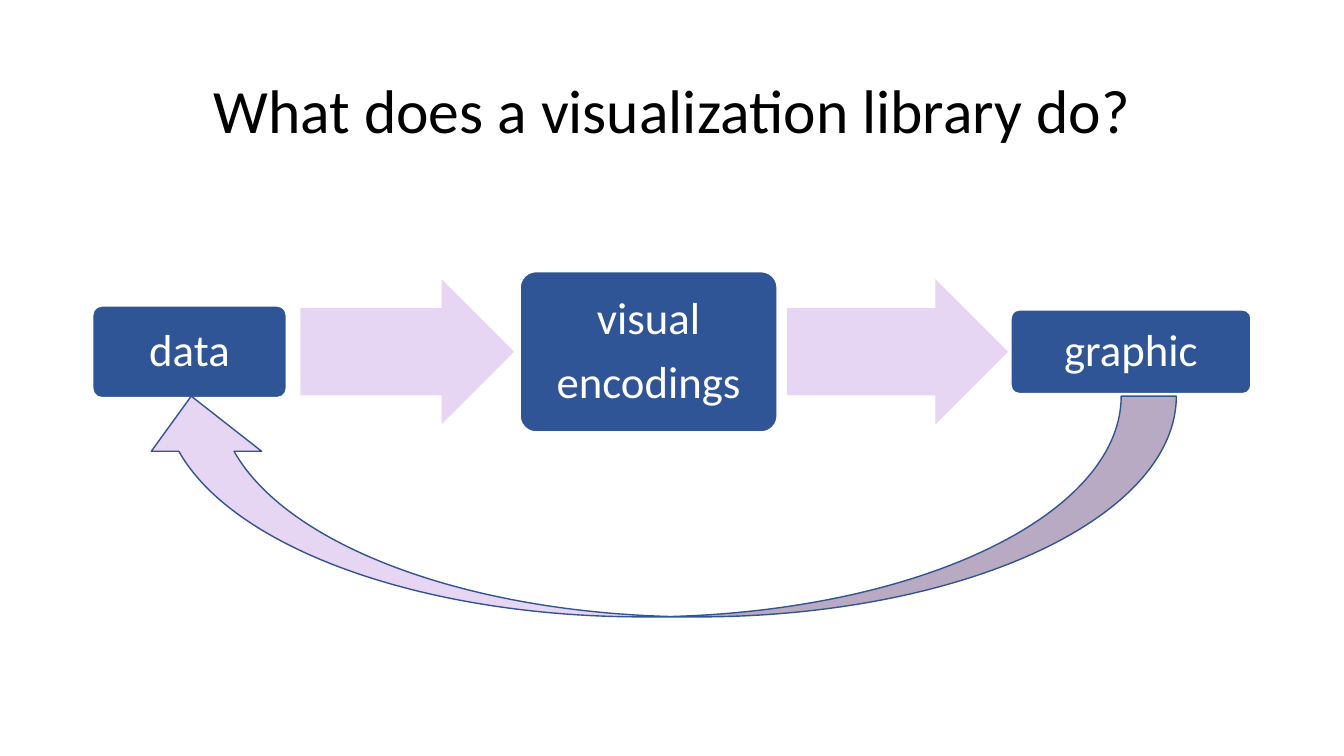
"""Build the slide showing the loop from data through encodings to graphic."""
import pptx
import pptx.dml.color
import pptx.enum.shapes
import pptx.enum.text
import pptx.util

COLORS = {"box": "2F5597", "arrow": "E6D5F3", "edge": "325491",
          "white": "FFFFFF", "black": "000000"}
SHAPES = pptx.enum.shapes.MSO_SHAPE
MIDDLE_Y = 3.49


def rgb(name):
    return pptx.dml.color.RGBColor.from_string(COLORS[name])


def add_filled(kind, left, top, width, height, fill, line=None):
    sp = slide.shapes.add_shape(kind, *map(pptx.util.Inches, (left, top, width, height)))
    sp.shadow.inherit = False
    sp.fill.solid()
    sp.fill.fore_color.rgb = rgb(fill)
    if line:
        sp.line.color.rgb = rgb(line)
        sp.line.width = pptx.util.Pt(1)
    else:
        sp.line.fill.background()
    return sp


prs = pptx.Presentation()
prs.slide_width = pptx.util.Inches(13.333)
prs.slide_height = pptx.util.Inches(7.5)
slide = prs.slides.add_slide(prs.slide_layouts[5])

title = slide.shapes.title
title.left, title.top, title.width, title.height = map(pptx.util.Inches, (0.92, 0.4, 11.5, 1.45))
tf = title.text_frame
tf.text = "What does a visualization library do?"
tf.auto_size = pptx.enum.text.MSO_AUTO_SIZE.NONE
tf.vertical_anchor = pptx.enum.text.MSO_ANCHOR.MIDDLE
p = tf.paragraphs[0]
p.alignment = pptx.enum.text.PP_ALIGN.CENTER
p.line_spacing = 0.9
p.font.size = pptx.util.Pt(44)
p.font.name = "Calibri"
p.font.color.rgb = rgb("black")

boxes = [("data", 0.92, 1.92, 0.91),
         ("visual\nencodings", 5.16, 2.55, 1.59),
         ("graphic", 10.03, 2.38, 0.83)]
for text, left, width, height in boxes:
    sp = add_filled(SHAPES.ROUNDED_RECTANGLE, left, MIDDLE_Y - height / 2,
                    width, height, "box", "white")
    sp.adjustments[0] = 0.1
    tf = sp.text_frame
    tf.text = text
    tf.word_wrap = True
    tf.vertical_anchor = pptx.enum.text.MSO_ANCHOR.MIDDLE
    tf.margin_left = tf.margin_right = pptx.util.Inches(0.13)
    tf.margin_top = tf.margin_bottom = pptx.util.Inches(0.13)
    for p in tf.paragraphs:
        p.alignment = pptx.enum.text.PP_ALIGN.CENTER
        p.line_spacing = 0.9
        p.space_after = pptx.util.Pt(11)
        p.font.size = pptx.util.Pt(32)
        p.font.name = "Calibri"
        p.font.color.rgb = rgb("white")

for left, width in [(2.98, 2.12), (7.81, 2.19)]:
    height = 1.44
    sp = add_filled(SHAPES.RIGHT_ARROW, left, MIDDLE_Y - height / 2, width, height, "arrow")
    sp.adjustments[0] = 0.6
    sp.adjustments[1] = 0.5

feedback = add_filled(SHAPES.CURVED_UP_ARROW, 1.35, 3.93, 10.32, 2.19, "arrow", "edge")
feedback._element.spPr.xfrm.set("flipH", "1")

prs.save("out.pptx")
